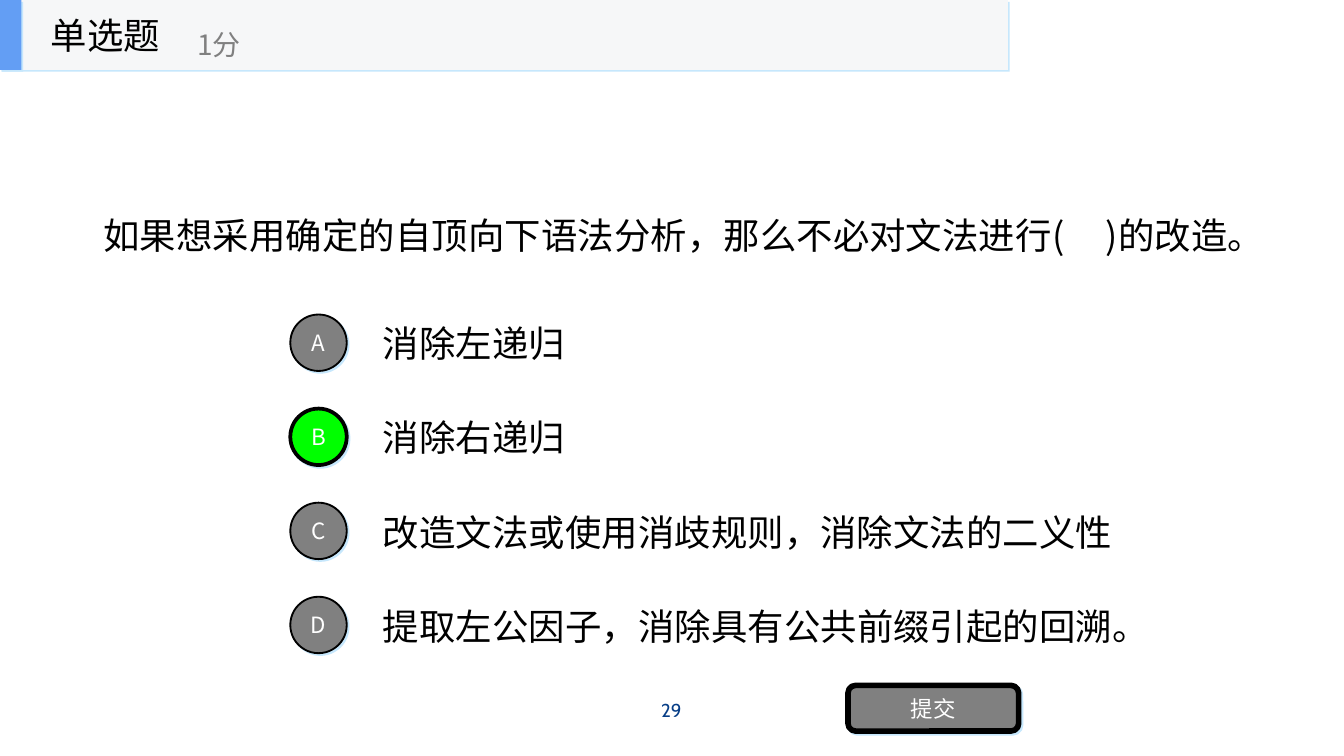
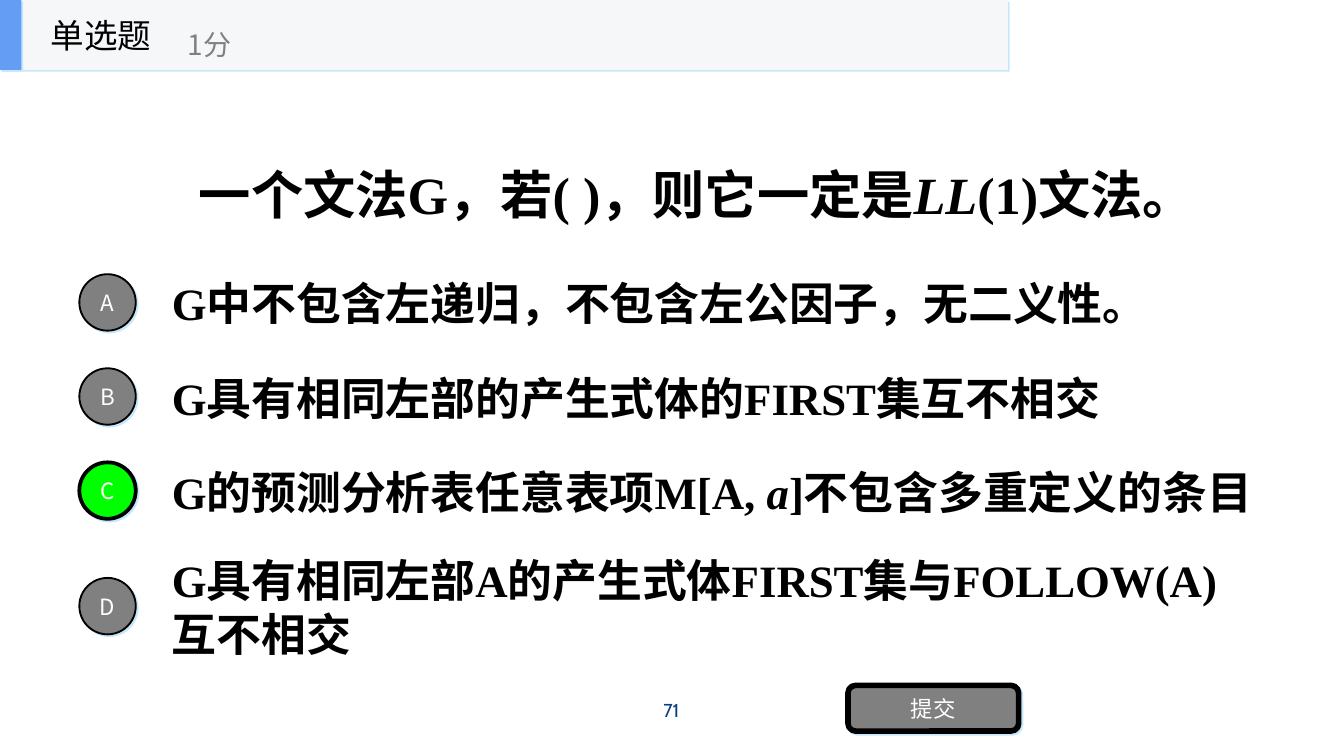
from dataclasses import dataclass

from lxml import etree
from pptx import Presentation
from pptx.dml.color import RGBColor
from pptx.enum.shapes import MSO_SHAPE
from pptx.enum.text import MSO_ANCHOR, MSO_AUTO_SIZE, PP_ALIGN
from pptx.oxml.ns import qn
from pptx.util import Inches, Pt

RECT, ROUND_RECT, OVAL = MSO_SHAPE.RECTANGLE, MSO_SHAPE.ROUNDED_RECTANGLE, MSO_SHAPE.OVAL
LEFT, CENTER = PP_ALIGN.LEFT, PP_ALIGN.CENTER
MIDDLE = MSO_ANCHOR.MIDDLE
NO_FIT = MSO_AUTO_SIZE.NONE
TITLE_ONLY = 5
BLANK = " "


@dataclass(frozen=True)
class Theme:
    """Colours, fonts and type sizes of the deck."""
    ink: str = "000000"
    paper: str = "FFFFFF"
    grey: str = "808080"
    correct: str = "00FF00"
    band: str = "F6F7F8"
    accent: str = "639EF4"
    shadow: str = "C6E7FC"
    number: str = "073E87"
    sans: str = "Noto Sans CJK SC"
    serif: str = "Times New Roman"
    number_font: str = "Cabin"
    label_size: float = 12
    points_size: float = 15
    number_size: float = 10
    blank_spacing: float = 17.5


@dataclass(frozen=True)
class Style:
    """Look of one piece of text."""
    size: float
    color: str = Theme.ink
    font: str = Theme.sans
    bold: bool = False


@dataclass(frozen=True)
class Quiz:
    """Content and layout of one single-choice question."""
    number: str
    heading_size: float
    points_left: float
    question: tuple
    question_box: tuple
    question_style: Style
    options: tuple
    option_style: Style
    option_tops: tuple
    option_widths: tuple
    option_inset: float
    badge_left: float
    answer: str


T = Theme()
LABEL = Style(T.label_size, T.paper)

QUIZZES = (
    Quiz(
        number="29", heading_size=19.5, points_left=1.37,
        question=("如果想采用确定的自顶向下语法分析，那么不必对文法进行(", BLANK, ")的改造。"),
        question_box=(0.67, 1.22, 9.06, 1.06),
        question_style=Style(19.5),
        options=(
            ("消除左递归",),
            ("消除右递归",),
            ("改造文法或使用消歧规则，消除文法的二义性",),
            ("提取左公因子，消除具有公共前缀引起的回溯。",),
        ),
        option_style=Style(19.5),
        option_tops=(2.29, 2.99, 3.69, 4.39),
        option_widths=(5.25, 5.25, 6.27, 5.95),
        option_inset=0.1, badge_left=2.16, answer="B",
    ),
    Quiz(
        number="71", heading_size=18, points_left=1.3,
        question=("一个文法G，若( )，则它一定是", "LL", "(1)文法。"),
        question_box=(1.38, 0.84, 7.87, 1.2),
        question_style=Style(28, font=T.serif, bold=True),
        options=(
            ("G中不包含左递归，不包含左公因子，无二义性。",),
            ("G具有相同左部的产生式体的FIRST集互不相交",),
            ("G的预测分析表任意表项M[A, ", "a", "]不包含多重定义的条目"),
            ("G具有相同左部A的产生式体FIRST集与FOLLOW(A)互不相交",),
        ),
        option_style=Style(24, font=T.serif, bold=True),
        option_tops=(1.99, 2.69, 3.39, 4.25),
        option_widths=(7.58, 7.76, 8.39, 8.23),
        option_inset=0.2, badge_left=0.59, answer="C",
    ),
)


def rgb(color):
    """Turn a hex string into a colour."""
    return RGBColor.from_string(color)


def write(sp, parts, style, align=LEFT, wrap=True):
    """Fill a shape with one paragraph whose second run is italic or a wide blank."""
    tf = sp.text_frame
    tf.word_wrap = wrap
    tf.auto_size = NO_FIT
    tf.vertical_anchor = MIDDLE
    p = tf.paragraphs[0]
    p.alignment = align
    p._p.get_or_add_pPr().set("hangingPunct", "0")
    for i, part in enumerate(parts):
        r = p.add_run()
        r.text = part
        r.font.size = Pt(style.size)
        r.font.bold = style.bold
        r.font.italic = i == 1 and part != BLANK
        r.font.color.rgb = rgb(style.color)
        r.font.name = style.font
        ea = etree.SubElement(r.font._element, qn("a:ea"))
        ea.set("typeface", T.sans)
        if part == BLANK:
            r.font._element.set("spc", str(int(T.blank_spacing * 100)))


def add_text(shapes, box, parts, style, align=LEFT, wrap=True):
    """Add a text box."""
    sp = shapes.add_textbox(*map(Inches, box))
    write(sp, parts, style, align, wrap)
    return sp


def add_shadow(sp):
    """Give a shape the hard pale-blue shadow of the deck."""
    sp.shadow.inherit = False
    effects = sp._element.spPr.find(qn("a:effectLst"))
    shadow = etree.SubElement(effects, qn("a:outerShdw"), blurRad="0", dist=str(Pt(1.4)),
                              dir="2700000", algn="ctr", rotWithShape="0")
    etree.SubElement(shadow, qn("a:srgbClr"), val=T.shadow)


def add_box(shapes, kind, box, fill, line_width=0):
    """Add a filled shape with a shadow and, if wanted, a black outline."""
    sp = shapes.add_shape(kind, *map(Inches, box))
    sp.fill.solid()
    sp.fill.fore_color.rgb = rgb(fill)
    if line_width:
        sp.line.color.rgb = rgb(T.ink)
        sp.line.width = Pt(line_width)
    else:
        sp.line.fill.background()
    add_shadow(sp)
    return sp


def add_button(shapes, kind, box, label, fill, line_width):
    """Add an outlined shape with a centred white label."""
    sp = add_box(shapes, kind, box, fill, line_width)
    tf = sp.text_frame
    tf.margin_left = tf.margin_right = Inches(0.07)
    tf.margin_top = tf.margin_bottom = Inches(0.04)
    write(sp, (label,), LABEL, CENTER)


def add_question(s, quiz):
    """Place the question in the title placeholder."""
    sp = s.shapes.title
    sp.left, sp.top, sp.width, sp.height = map(Inches, quiz.question_box)
    write(sp, quiz.question, quiz.question_style)


def add_options(s, quiz):
    """Add the lettered answers and mark the right one."""
    rows = zip("ABCD", quiz.options, quiz.option_tops, quiz.option_widths)
    for letter, parts, top, width in rows:
        sp = add_text(s.shapes, (quiz.badge_left + 0.59, top, width, 0.53), parts,
                      quiz.option_style)
        sp.text_frame.margin_right = Inches(quiz.option_inset)
        right = letter == quiz.answer
        add_button(s.shapes, OVAL, (quiz.badge_left, top + 0.05, 0.42, 0.42), letter,
                   T.correct if right else T.grey, 2 if right else 1)


def add_footer(s, number):
    """Add the submit button and the slide number."""
    add_button(s.shapes, ROUND_RECT, (6.31, 5.1, 1.27, 0.34), "提交", T.grey, 3)
    add_text(s.shapes, (4.36, 5.13, 1.27, 0.3), (number,),
             Style(T.number_size, T.number, T.number_font), CENTER)


def add_header(s, quiz):
    """Add the grouped band with question type and points."""
    shapes = s.shapes.add_group_shape().shapes
    add_box(shapes, RECT, (0, 0, 7.5, 0.52), T.band)
    add_box(shapes, RECT, (0, 0, 0.16, 0.52), T.accent)
    add_text(shapes, (0.28, 0, 1.56, 0.52), ("单选题",), Style(quiz.heading_size), wrap=False)
    add_text(shapes, (quiz.points_left, 0.12, 1.88, 0.42), ("1分",),
             Style(T.points_size, T.grey), wrap=False)


def add_quiz(prs, quiz):
    """Add one question slide."""
    s = prs.slides.add_slide(prs.slide_layouts[TITLE_ONLY])
    s.background.fill.solid()
    s.background.fill.fore_color.rgb = rgb(T.paper)
    add_question(s, quiz)
    add_options(s, quiz)
    add_footer(s, quiz.number)
    add_header(s, quiz)


def main():
    """Build and save the deck."""
    prs = Presentation()
    prs.slide_width = Inches(10)
    prs.slide_height = prs.slide_width * 9 // 16
    for quiz in QUIZZES:
        add_quiz(prs, quiz)
    prs.save("out.pptx")


if __name__ == "__main__":
    main()
